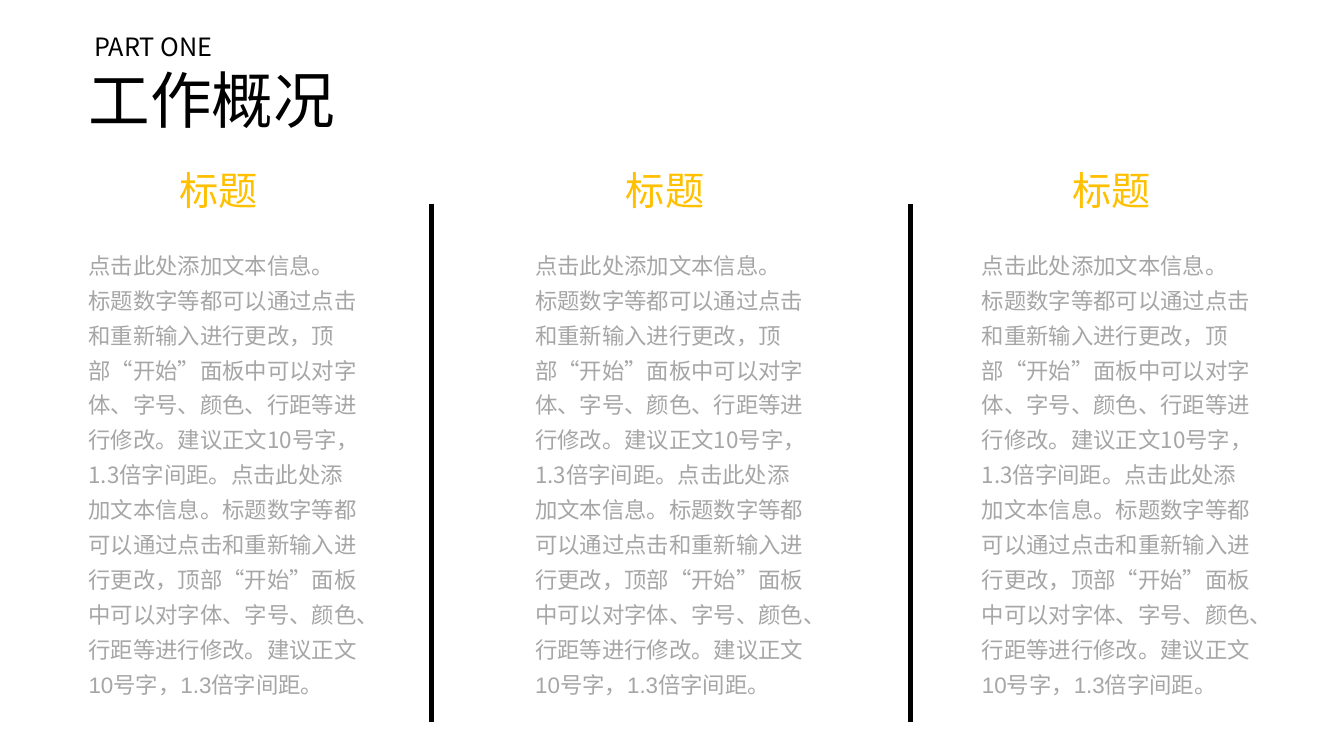
from lxml import etree
from pptx import Presentation
from pptx.dml.color import RGBColor
from pptx.enum.shapes import MSO_CONNECTOR
from pptx.enum.text import MSO_ANCHOR, MSO_AUTO_SIZE, PP_ALIGN
from pptx.oxml.ns import qn
from pptx.util import Inches, Pt

LINE = MSO_CONNECTOR.STRAIGHT
TOP, LEFT = MSO_ANCHOR.TOP, PP_ALIGN.LEFT
FIT, NO_FIT = MSO_AUTO_SIZE.SHAPE_TO_FIT_TEXT, MSO_AUTO_SIZE.NONE

COLORS = {"ink": "000000", "gold": "FFC000", "gray": "A6A6A6"}
SANS, ARIAL = "Noto Sans CJK SC", "Arial"

LEAD = "点击此处添加文本信息。"
GUIDE = ("标题数字等都可以通过点击和重新输入进行更改，顶部“开始”面板中可以对字体、"
         "字号、颜色、行距等进行修改。建议正文10号字，1.3倍字间距。")


def set_face(font, face):
    """Set the Latin face, with the sans face for Chinese."""
    font.name = face
    etree.SubElement(font._rPr, qn("a:ea")).set("typeface", SANS)


def set_font(font, size, color):
    font.size = Pt(size)
    font.color.rgb = RGBColor.from_string(COLORS[color])


def add_text(slide, x, y, w, h, wrap):
    box = slide.shapes.add_textbox(Inches(x), Inches(y), Inches(w), Inches(h))
    frame = box.text_frame
    frame.word_wrap = wrap
    frame.auto_size = FIT
    return frame


def add_title(slide, x, y, w, h):
    title = slide.shapes.title
    title.left, title.top = Inches(x), Inches(y)
    title.width, title.height = Inches(w), Inches(h)
    frame = title.text_frame
    frame.text = " PART ONE\n工作概况"
    frame.word_wrap = False
    frame.auto_size = NO_FIT
    frame.vertical_anchor = TOP
    for para, size in zip(frame.paragraphs, (18, 44)):
        para.alignment = LEFT
        set_font(para.font, size, "ink")
        set_face(para.font, SANS)


def add_column(slide, x, y, w, h):
    # Heading
    head = add_text(slide, x + 0.9, y, 1.09, 0.57, False).paragraphs[0]
    head.text = "标题"
    set_font(head.font, 28, "gold")
    set_face(head.font, SANS)

    # Body
    frame = add_text(slide, x, y + 0.77, w, h - 0.77, True)
    paras = frame.paragraphs[0], frame.add_paragraph()
    texts = [(LEAD, SANS)], [(GUIDE, SANS), (LEAD + GUIDE, ARIAL)]
    for para, runs in zip(paras, texts):
        para.line_spacing = 1.3
        set_font(para.font, 16, "gray")
        for text, face in runs:
            run = para.add_run()
            run.text = text
            set_face(run.font, face)


def add_rule(slide, x, y, h):
    rule = slide.shapes.add_connector(
        LINE, Inches(x), Inches(y), Inches(x), Inches(y + h))
    rule.line.color.rgb = RGBColor.from_string(COLORS["ink"])
    rule.line.width = Pt(3)
    etree.SubElement(rule._element.spPr, qn("a:effectLst"))


def main():
    deck = Presentation()
    deck.slide_width, deck.slide_height = Inches(13.33), Inches(7.5)
    slide = deck.slides.add_slide(deck.slide_layouts.get_by_name("Title Only"))

    add_title(slide, 0.78, 0.26, 2.67, 1.14)
    for i in range(2):
        add_rule(slide, 4.28 + i * 4.75, 2.02, 5.14)
    for i in range(3):
        add_column(slide, 0.78 + i * 4.43, 1.6, 2.89, 5.69)

    deck.save("out.pptx")


if __name__ == "__main__":
    main()
